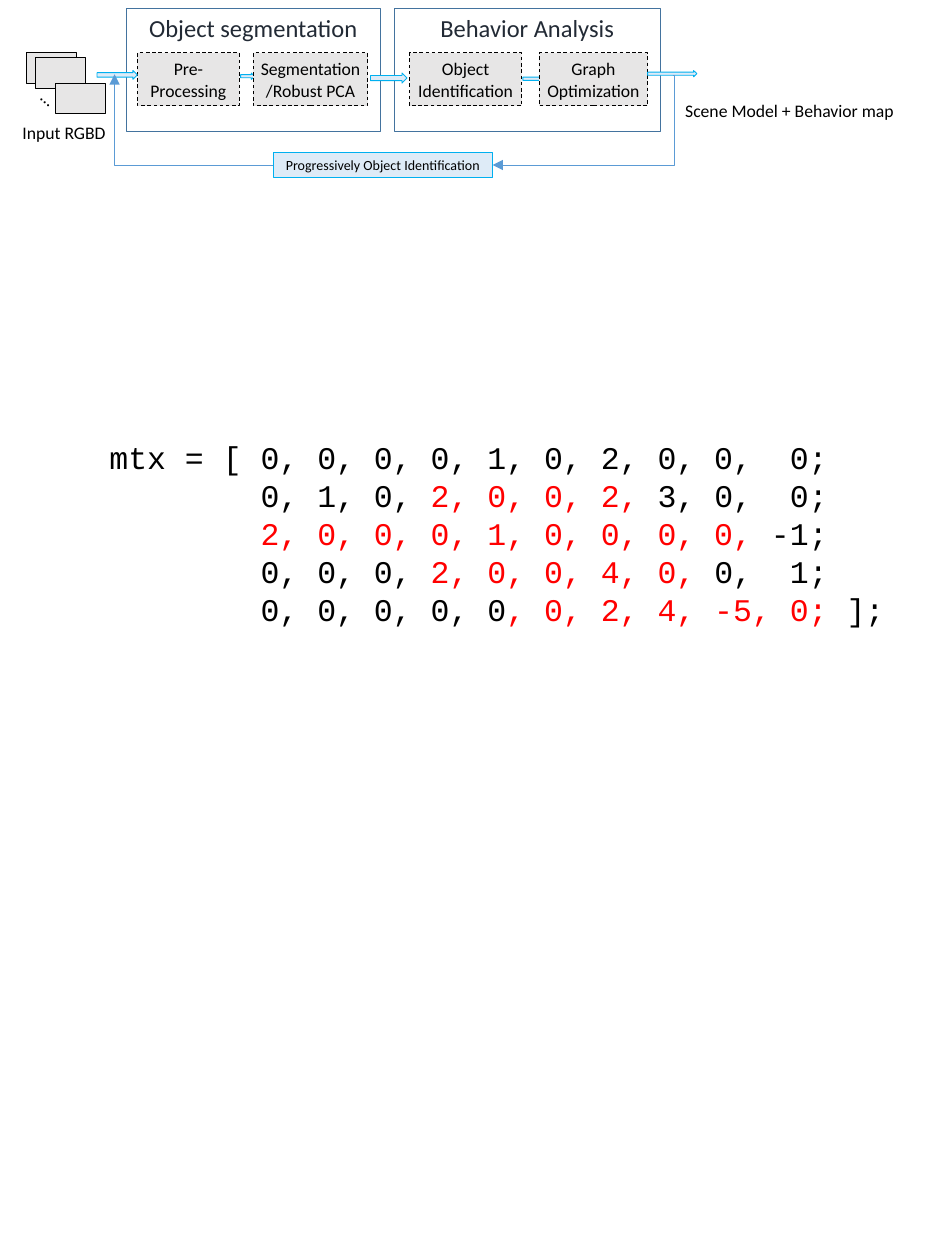
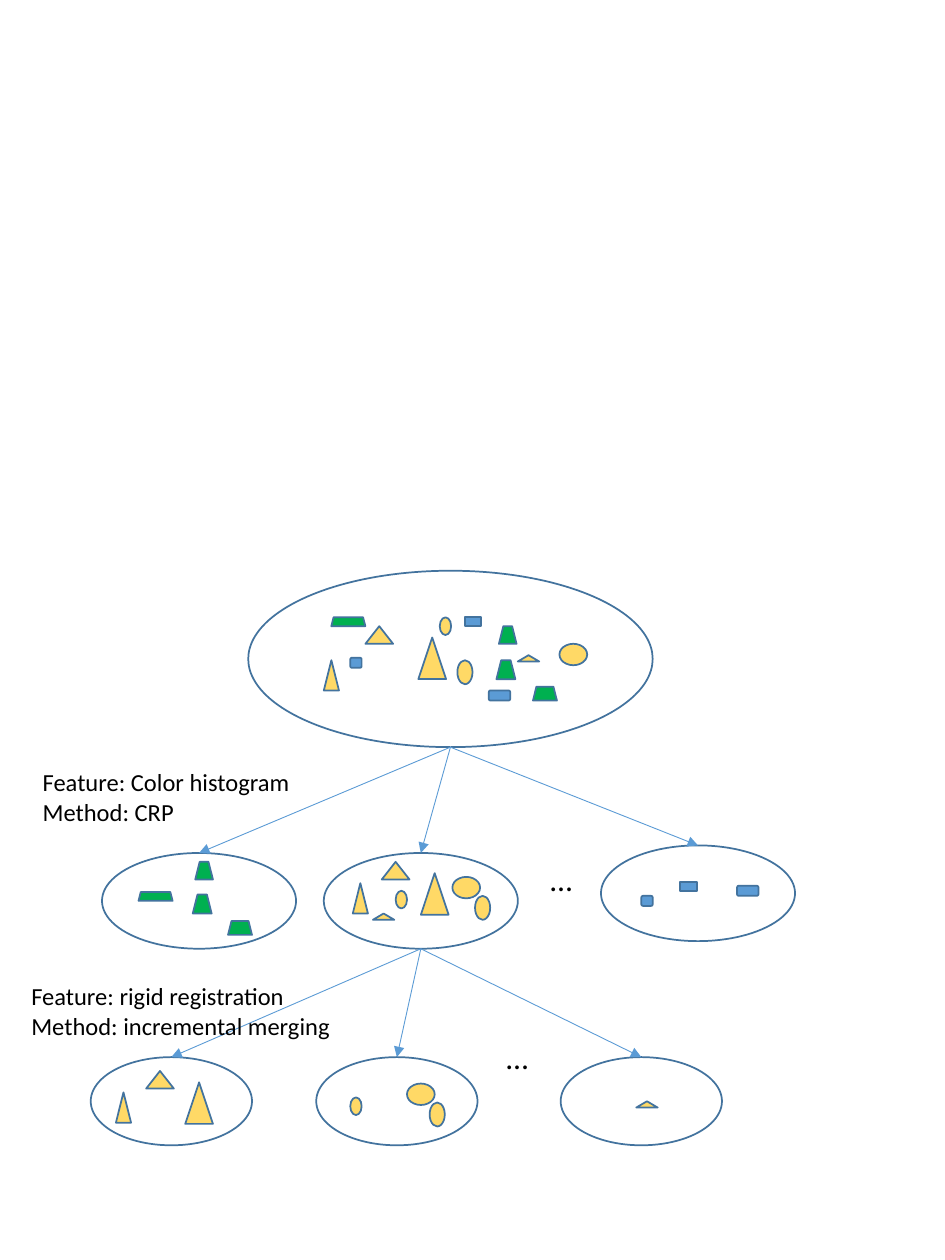
"""Two slides: a scene-analysis pipeline with its matrix, and a tree of object clusters."""
from dataclasses import dataclass

from lxml import etree
from pptx import Presentation
from pptx import util as u
from pptx.dml.color import RGBColor
from pptx.enum import dml, shapes, text
from pptx.oxml import ns

COLUMNS, ROWS = 75, 100
SHAPE = shapes.MSO_SHAPE


@dataclass(frozen=True)
class Theme:
    """Colours, fonts and sizes shared by both slides."""

    ink: str = "000000"
    title: str = "222A35"
    accent: str = "FF0000"
    outline: str = "43739E"
    wire: str = "5B9BD5"
    arrow: str = "00B0F0"
    pale: str = "DEEBF7"
    grey: str = "E7E6E6"
    yellow: str = "FFD966"
    green: str = "00B050"
    blue: str = "5B9BD5"
    font: str = "Calibri"
    code_font: str = "Courier New"
    tiny: float = 8
    small: float = 10.1
    medium: float = 14
    large: float = 18
    thin: float = 0.5
    thick: float = 1


THEME = Theme()


@dataclass(frozen=True)
class Box:
    """A region of the slide, in grid columns and rows."""

    x: float
    y: float
    w: float = 0
    h: float = 0

    def inside(self, x, y, w=0, h=0):
        """Return a box offset from this one's top left corner."""
        return Box(self.x + x, self.y + y, w, h)

    def emu(self):
        """Return left, top, width and height as slide lengths."""
        return [u.Inches(cells / 10) for cells in (self.x, self.y, self.w, self.h)]


PIECES = {
    "roof": (SHAPE.ISOSCELES_TRIANGLE, THEME.yellow, 2.2, 1.4),
    "peak": (SHAPE.ISOSCELES_TRIANGLE, THEME.yellow, 2.2, 3.3),
    "spike": (SHAPE.ISOSCELES_TRIANGLE, THEME.yellow, 1.2, 2.4),
    "sliver": (SHAPE.ISOSCELES_TRIANGLE, THEME.yellow, 1.7, 0.5),
    "seed": (SHAPE.OVAL, THEME.yellow, 0.9, 1.4),
    "egg": (SHAPE.OVAL, THEME.yellow, 1.2, 1.9),
    "disc": (SHAPE.OVAL, THEME.yellow, 2.2, 1.7),
    "bar": (SHAPE.ROUNDED_RECTANGLE, THEME.blue, 1.7, 0.8),
    "chip": (SHAPE.ROUNDED_RECTANGLE, THEME.blue, 0.9, 0.8),
    "brick": (SHAPE.RECTANGLE, THEME.blue, 1.3, 0.7),
    "cup": (SHAPE.TRAPEZOID, THEME.green, 1.4, 1.4),
    "bucket": (SHAPE.TRAPEZOID, THEME.green, 1.5, 1.5),
    "tray": (SHAPE.TRAPEZOID, THEME.green, 2.7, 0.7),
    "pail": (SHAPE.TRAPEZOID, THEME.green, 1.9, 1.1),
}

ALL_OBJECTS = {
    "roof": (9.3, 4.4), "seed": (15.2, 3.7), "peak": (13.5, 5.3), "bar": (19.1, 9.5),
    "brick": (17.2, 3.7), "egg": (16.6, 7.1), "chip": (8.1, 6.9), "spike": (6, 7.1),
    "sliver": (21.4, 6.7), "disc": (24.7, 5.8), "cup": (19.9, 4.4),
    "bucket": (19.7, 7.1), "tray": (6.6, 3.7), "pail": (22.6, 9.2),
}
GREEN_OBJECTS = {"cup": (7.4, 0.7), "bucket": (7.2, 3.3), "tray": (2.9, 3.1), "pail": (10, 5.4)}
YELLOW_OBJECTS = {
    "roof": (4.6, 0.7), "seed": (5.7, 3), "peak": (7.7, 1.6), "egg": (12, 3.4),
    "spike": (2.3, 2.4), "sliver": (3.9, 4.8), "disc": (10.2, 1.9),
}
BLUE_OBJECTS = {"bar": (10.8, 3.2), "brick": (6.3, 2.9), "chip": (3.2, 4)}
TRIANGLES = {"roof": (4.4, 1.1), "peak": (7.5, 2), "spike": (2, 2.8)}
ROUNDS = {"seed": (2.7, 3.2), "egg": (9, 3.6), "disc": (7.2, 2.1)}
LEFTOVER = {"sliver": (6, 3.5)}

MATRIX = [
    [("mtx = [ 0, 0, 0, 0, 1, 0, 2, 0, 0,  0;", THEME.ink)],
    [("        0, 1, 0, ", THEME.ink), ("2, 0, 0, 2, ", THEME.accent), ("3, 0,  0;", THEME.ink)],
    [("        ", THEME.ink), ("2, 0, 0, 0, 1, 0, 0, 0, 0, ", THEME.accent), ("-1;", THEME.ink)],
    [("        0, 0, 0, ", THEME.ink), ("2, 0, 0, 4, 0, ", THEME.accent), ("0,  1;", THEME.ink)],
    [("        0, 0, 0, 0, 0", THEME.ink), (", 0, 2, 4, -5, 0; ", THEME.accent), ("];", THEME.ink)],
]


def write(frame, lines, size, font=THEME.font, align=None):
    """Write lines of (words, colour) runs into a text frame."""
    frame.word_wrap = True
    for number, line in enumerate(lines):
        paragraph = frame.add_paragraph() if number else frame.paragraphs[0]
        paragraph.alignment = align
        for words, colour in line:
            run = paragraph.add_run()
            run.text = words
            run.font.name, run.font.size = font, u.Pt(size)
            run.font.color.rgb = RGBColor.from_string(colour)


def label(slide, box, lines, size):
    """Add a text box of plain lines and return it."""
    note = slide.shapes.add_textbox(*box.emu())
    note.text_frame.auto_size = text.MSO_AUTO_SIZE.SHAPE_TO_FIT_TEXT
    write(note.text_frame, [[(line, THEME.ink)] for line in lines], size)
    return note


def outlined(slide, kind, box, fill=None, line=THEME.outline, width=THEME.thin):
    """Add a preset shape with an outline and an optional fill."""
    shape = slide.shapes.add_shape(kind, *box.emu())
    shape.shadow.inherit = False
    if fill:
        shape.fill.solid()
        shape.fill.fore_color.rgb = RGBColor.from_string(fill)
    else:
        shape.fill.background()
    shape.line.color.rgb = RGBColor.from_string(line)
    shape.line.width = u.Pt(width)
    return shape


def caption(shape, words, size, colour=THEME.ink, anchor=text.MSO_ANCHOR.MIDDLE):
    """Centre words inside a shape with slim margins."""
    frame = shape.text_frame
    frame.margin_left = frame.margin_right = u.Inches(0.06)
    frame.margin_top = frame.margin_bottom = u.Inches(0.03)
    frame.vertical_anchor = anchor
    write(frame, [[(words, colour)]], size, align=text.PP_ALIGN.CENTER)


def wire(slide, kind, start, end):
    """Add a thin connector with an arrowhead at its end."""
    line = slide.shapes.add_connector(kind, *start.emu()[:2], *end.emu()[:2])
    line.line.color.rgb = RGBColor.from_string(THEME.wire)
    line.line.width = u.Pt(THEME.thin)
    properties = line._element.spPr
    etree.SubElement(properties.find(ns.qn("a:ln")), ns.qn("a:tailEnd"), type="triangle")
    etree.SubElement(properties, ns.qn("a:effectLst"))
    return line


def elbow(slide, start, end, bend):
    """Add a bent connector whose corner lies at a share of its width."""
    line = wire(slide, shapes.MSO_CONNECTOR.ELBOW, start, end)
    guides = line._element.spPr.find(ns.qn("a:prstGeom")).find(ns.qn("a:avLst"))
    etree.SubElement(guides, ns.qn("a:gd"), name="adj1", fmla=f"val {round(bend * 100000)}")


def flow_arrow(slide, box):
    """Add a pale block arrow between two steps."""
    outlined(slide, SHAPE.RIGHT_ARROW, box, THEME.pale, THEME.arrow)


def input_frames(slide, box):
    """Draw the stacked input frames with their label."""
    for x, y in ((1.3, 0), (2, 0.4), (3.6, 2.4)):
        outlined(slide, SHAPE.RECTANGLE, box.inside(x, y, 4, 2.4), THEME.grey, THEME.ink)
    label(slide, box.inside(1.7, 2, 2.1, 2.7), ["…"], THEME.small).rotation = 41
    label(slide, box.inside(0, 5, 9.7, 2.7), ["Input RGBD"], THEME.small)


def stage(slide, box, title, steps, link):
    """Draw a titled panel holding dashed steps joined by an arrow."""
    panel = outlined(slide, SHAPE.RECTANGLE, box)
    caption(panel, title, THEME.medium, THEME.title, text.MSO_ANCHOR.TOP)
    flow_arrow(slide, box.inside(*link))
    for words, x, width in steps:
        step = outlined(slide, SHAPE.RECTANGLE, box.inside(x, 3.5, width, 4.2), THEME.grey, THEME.ink)
        step.line.dash_style = dml.MSO_LINE.DASH
        caption(step, words, THEME.small)


def feedback(slide, box):
    """Draw the loop that returns from the output to the input."""
    loop = outlined(slide, SHAPE.RECTANGLE, box.inside(12.6, 6.2, 17.4, 2), THEME.pale, THEME.arrow)
    caption(loop, "Progressively Object Identification", THEME.tiny)
    elbow(slide, box.inside(44.3, 0.1), box.inside(30, 7.2), -0.01)
    elbow(slide, box.inside(12.6, 7.2), box.inside(0, 0), 1)


def pipeline(slide, box):
    """Lay out the pipeline from input frames to scene model."""
    input_frames(slide, box.inside(0.8, 4.2))
    stage(slide, box.inside(10, 0.7, 20.2, 9.7), "Object segmentation",
          [("Pre-Processing", 0.9, 8.1), ("Segmentation/Robust PCA", 10.1, 9.1)],
          (9.1, 5.1, 1.1, 0.5))
    stage(slide, box.inside(31.3, 0.7, 21.1, 9.7), "Behavior Analysis",
          [("Object Identification", 1.2, 8.9), ("Graph Optimization", 11.5, 8.6)],
          (10.2, 5.3, 1.6, 0.5))
    for arrow in ((7.7, 5.6, 3.2, 0.7), (29.4, 5.8, 2.9, 0.8), (51.4, 5.6, 3.9, 0.5)):
        flow_arrow(slide, box.inside(*arrow))
    feedback(slide, box.inside(9.1, 5.9))
    label(slide, box.inside(53.4, 7.4, 19, 2.7), ["Scene Model + Behavior map"], THEME.small)


def matrix(slide, box):
    """Write the matrix code with its highlighted entries."""
    code = slide.shapes.add_textbox(*box.emu())
    code.text_frame.auto_size = text.MSO_AUTO_SIZE.SHAPE_TO_FIT_TEXT
    write(code.text_frame, MATRIX, THEME.large, THEME.code_font)


def cluster(slide, box, members):
    """Draw an ellipse around its member objects and return it."""
    ring = outlined(slide, SHAPE.OVAL, box, width=THEME.thick)
    for name, (x, y) in members.items():
        kind, fill, width, height = PIECES[name]
        outlined(slide, kind, box.inside(x, y, width, height), fill, width=THEME.thick)
    return ring


def branches(slide, parent, children):
    """Draw child clusters, each joined to the bottom of the parent."""
    start = parent.inside(parent.w / 2, parent.h)
    for child, members in children:
        ring = cluster(slide, child, members)
        branch = wire(slide, shapes.MSO_CONNECTOR.STRAIGHT, start, child.inside(child.w / 2, 0))
        branch.end_connect(ring, 0)


def cluster_tree(slide, box):
    """Lay out the three levels of clusters with their notes."""
    root = box.inside(12.5, 0, 32.1, 14)
    middle = box.inside(18.5, 22.4, 15.4, 7.6)
    cluster(slide, root, ALL_OBJECTS)
    branches(slide, root, [
        (box.inside(0.9, 22.4, 15.4, 7.6), GREEN_OBJECTS),
        (middle, YELLOW_OBJECTS),
        (box.inside(40.5, 21.8, 15.4, 7.6), BLUE_OBJECTS),
    ])
    branches(slide, middle, [
        (box.inside(x, 38.6, 12.8, 7), members)
        for x, members in ((0, TRIANGLES), (17.9, ROUNDS), (37.3, LEFTOVER))
    ])
    for x, y in ((35.5, 22.5), (32, 36.6)):
        label(slide, box.inside(x, y, 5.1, 4), ["…"], THEME.large)
    label(slide, box.inside(-4.8, 15.1, 26, 5.7),
          ["Feature: Color histogram", "Method: CRP"], THEME.medium)
    label(slide, box.inside(-5.7, 32.1, 35.4, 5.7),
          ["Feature: rigid registration", "Method: incremental merging"], THEME.medium)


def main():
    """Build both slides and save the presentation."""
    deck = Presentation()
    deck.slide_width, deck.slide_height = Box(0, 0, COLUMNS, ROWS).emu()[2:]
    blank = deck.slide_layouts[6]
    overview = deck.slides.add_slide(blank)
    pipeline(overview, Box(0, 0, COLUMNS, 15))
    matrix(overview, Box(7.7, 34.3, 65.7, 16.2))
    cluster_tree(deck.slides.add_slide(blank), Box(7.2, 45.3, 56, 46))
    deck.save("out.pptx")


if __name__ == "__main__":
    main()
